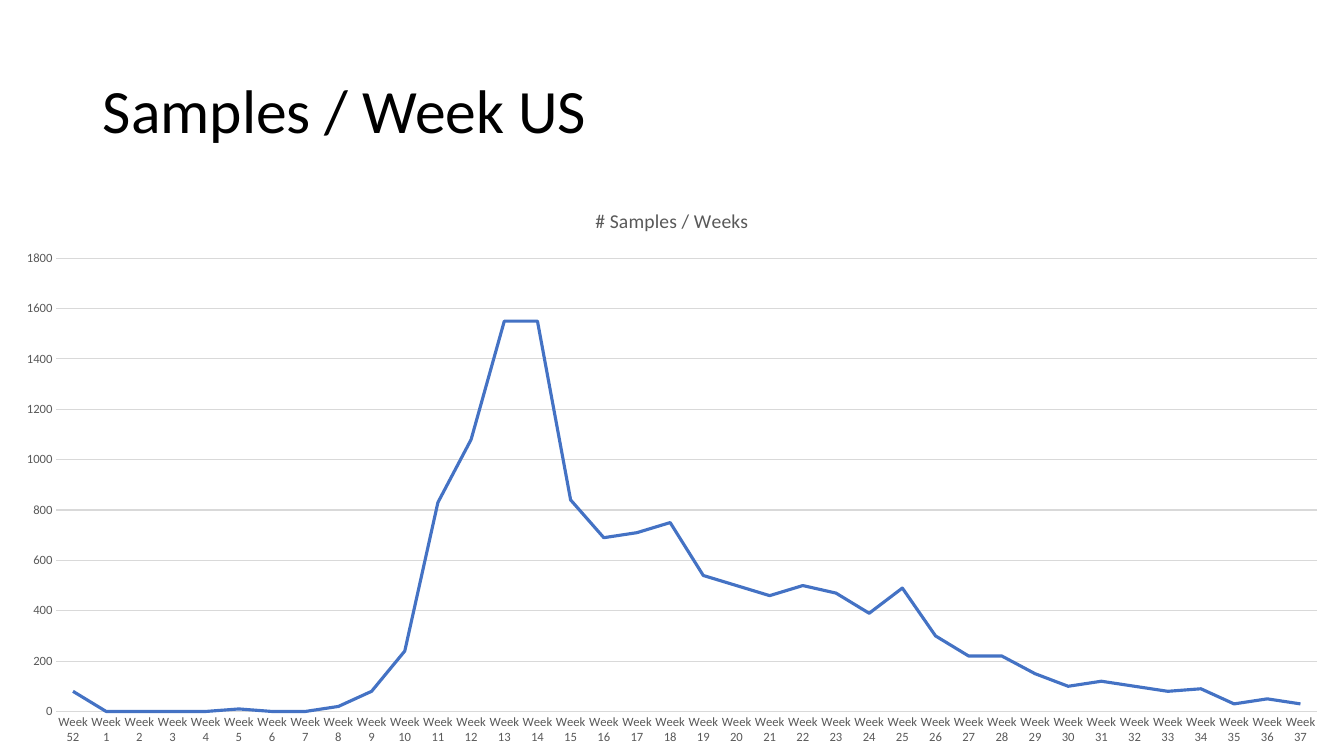
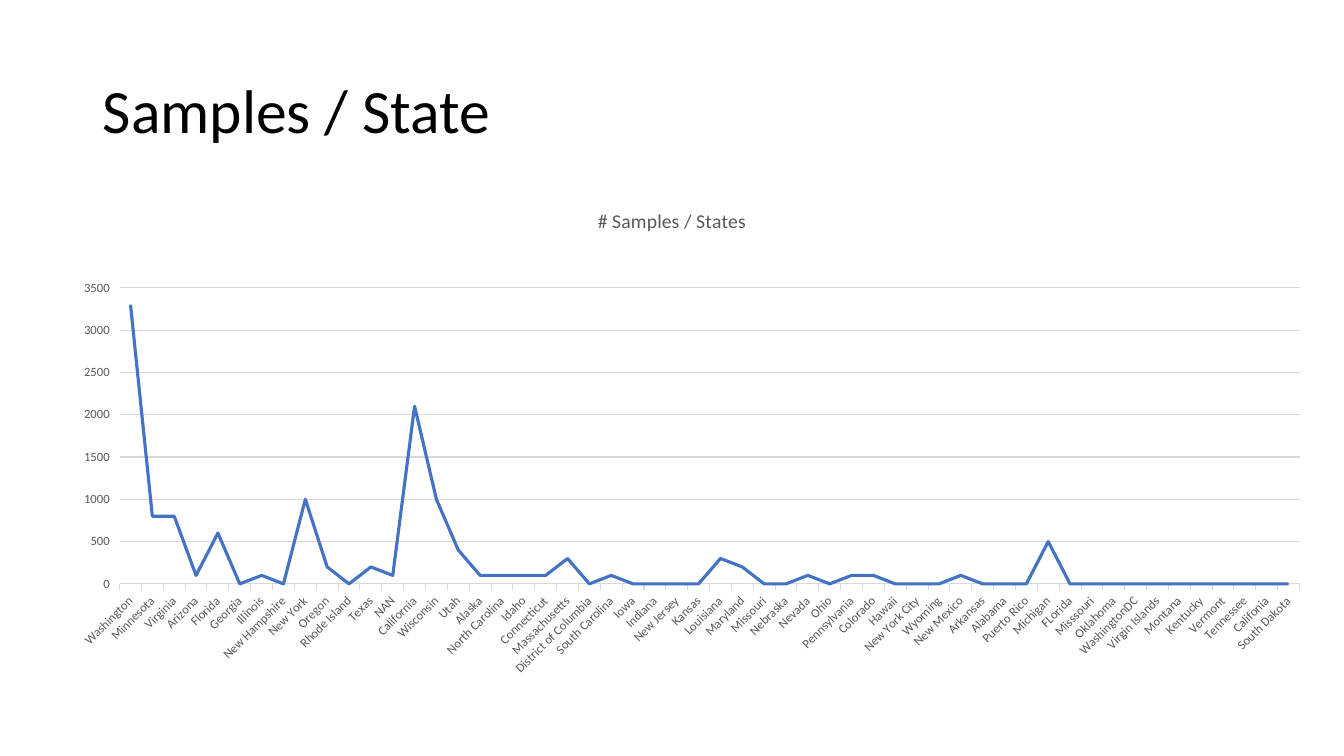
from pptx import Presentation
from pptx.chart.data import CategoryChartData
from pptx.dml.color import RGBColor
from pptx.enum.chart import XL_CHART_TYPE, XL_TICK_MARK
from pptx.enum.text import MSO_ANCHOR, MSO_AUTO_SIZE, PP_ALIGN
from pptx.oxml import parse_xml
from pptx.oxml.ns import nsdecls
from pptx.util import Inches, Pt

COLORS = {"title": "000000", "label": "595959", "grid": "D9D9D9", "samples": "4472C4"}
FONT = "Calibri"

WEEKS = [f"Week {number}" for number in [52, *range(1, 38)]]
WEEKLY_SAMPLES = [
    80, 0, 0, 0, 0, 10, 0, 0, 20, 80, 240, 830, 1080, 1550, 1550, 840, 690, 710, 750,
    540, 500, 460, 500, 470, 390, 490, 300, 220, 220, 150, 100, 120, 100, 80, 90, 30, 50, 30,
]
STATE_SAMPLES = {
    "Washington": 3300, "Minnesota": 800, "Virginia": 800, "Arizona": 100,
    "Florida": 600, "Georgia": 0, "Illinois": 100, "New Hampshire": 0,
    "New York": 1000, "Oregon": 200, "Rhode Island": 0, "Texas": 200, "NAN": 100,
    "California": 2100, "Wisconsin": 1000, "Utah": 400, "Alaska": 100,
    "North Carolina": 100, "Idaho": 100, "Connecticut": 100, "Massachusetts": 300,
    "District of Columbia": 0, "South Carolina": 100, "Iowa": 0, "Indiana": 0,
    "New Jersey": 0, "Kansas": 0, "Louisiana": 300, "Maryland": 200, "Missouri": 0,
    "Nebraska": 0, "Nevada": 100, "Ohio": 0, "Pennsylvania": 100, "Colorado": 100,
    "Hawaii": 0, "New York City": 0, "Wyoming": 0, "New Mexico": 100, "Arkansas": 0,
    "Alabama": 0, "Puerto Rico": 0, "Michigan": 500, "FLorida": 0, "Misssouri": 0,
    "Oklahoma": 0, "WashingtonDC": 0, "Virgin Islands": 0, "Montana": 0,
    "Kentucky": 0, "Vermont": 0, "Tennessee": 0, "Califonia": 0, "South Dakota": 0,
}


def style_font(font, size, color):
    """Apply the shared typeface with a size and a named colour."""
    font.name, font.size, font.bold = FONT, Pt(size), False
    font.color.rgb = RGBColor.from_string(COLORS[color])


def write_text(frame, text, size=14, color="label", align=None, spacing=None):
    """Write one formatted paragraph into a text frame."""
    paragraph = frame.paragraphs[0]
    paragraph.alignment, paragraph.line_spacing = align, spacing
    run = paragraph.add_run()
    run.text = text
    style_font(run.font, size, color)


def style_line(line, color, width):
    """Give a line a named colour and a width in points."""
    line.color.rgb = RGBColor.from_string(COLORS[color])
    line.width = Pt(width)


def place_in_chart(parent, x, y, **size):
    """Place a chart part by shares of the chart's size."""
    parts = {"xMode": "edge", "yMode": "edge", "x": x, "y": y, **size}
    if size:
        parts = {"layoutTarget": "inner", **parts}
    tags = "".join(f'<c:{tag} val="{value}"/>' for tag, value in parts.items())
    for layout in parent.findall(parent.tag.split("}")[0] + "}layout"):
        parent.remove(layout)
    layout = parse_xml(
        f'<c:layout {nsdecls("c")}><c:manualLayout>{tags}</c:manualLayout></c:layout>')
    parent.insert(1 if parent.tag.endswith("}title") else 0, layout)


class Deck:
    """Holds the presentation, its style and the current slide."""

    def __init__(self, width=13.33, height=7.5):
        self.show = Presentation()
        self.show.slide_width, self.show.slide_height = Inches(width), Inches(height)
        self.slide = None

    def box(self, left, top, width, height):
        """Turn shares of the slide into lengths."""
        across, down = self.show.slide_width, self.show.slide_height
        return [int(share * full) for share, full in
                zip((left, top, width, height), (across, down, across, down))]

    def add_slide(self, heading):
        """Start a slide and format its title."""
        self.slide = self.show.slides.add_slide(self.show.slide_layouts[5])
        title = self.slide.shapes.title
        title.left, title.top, title.width, title.height = self.box(0.069, 0.053, 0.8625, 0.1933)
        frame = title.text_frame
        frame.word_wrap, frame.auto_size = True, MSO_AUTO_SIZE.NONE
        frame.vertical_anchor = MSO_ANCHOR.MIDDLE
        write_text(frame, heading, size=44, color="title", align=PP_ALIGN.LEFT, spacing=0.9)

    def add_line_chart(self, caption, categories, samples, plot, tick):
        """Draw one series of samples below the title."""
        data = CategoryChartData()
        data.categories = categories
        data.add_series("Series 1", samples)
        chart = self.slide.shapes.add_chart(
            XL_CHART_TYPE.LINE, *self.box(0, 0.2467, 1, 0.7533), data).chart
        style_font(chart.font, 10, "title")
        chart.has_legend = False
        write_text(chart.chart_title.text_frame, caption)
        chart.chart_title.include_in_layout = False
        for axis in (chart.category_axis, chart.value_axis):
            self.style_axis(axis, tick)
        style_line(chart.category_axis.format.line, "grid", 0.75)
        chart.value_axis.format.line.fill.background()
        chart.value_axis.has_major_gridlines = True
        style_line(chart.value_axis.major_gridlines.format.line, "grid", 0.75)
        series = chart.plots[0].series[0]
        series.smooth = False
        style_line(series.format.line, "samples", 2.25)
        chart.plots[0].vary_by_categories = False
        place_in_chart(chart.plots[0]._element.getparent(), **plot)

    def style_axis(self, axis, tick):
        """Format an axis and let its labels turn as space requires."""
        axis.major_tick_mark, axis.minor_tick_mark = tick, XL_TICK_MARK.NONE
        style_font(axis.tick_labels.font, 9, "label")
        axis._element.txPr.bodyPr.set("rot", "-60000000")


def build():
    """Build and save both slides."""
    deck = Deck()
    deck.add_slide("Samples / Week US")
    deck.add_line_chart("# Samples / Weeks", WEEKS, WEEKLY_SAMPLES,
                        {"x": 0.042, "y": 0.126, "w": 0.938, "h": 0.796}, XL_TICK_MARK.NONE)
    deck.add_slide("Samples / State")
    deck.add_line_chart("# Samples / States", list(STATE_SAMPLES), list(STATE_SAMPLES.values()),
                        {"x": 0.089, "y": 0.178, "w": 0.878, "h": 0.52}, XL_TICK_MARK.OUTSIDE)
    deck.show.save("out.pptx")


build()
